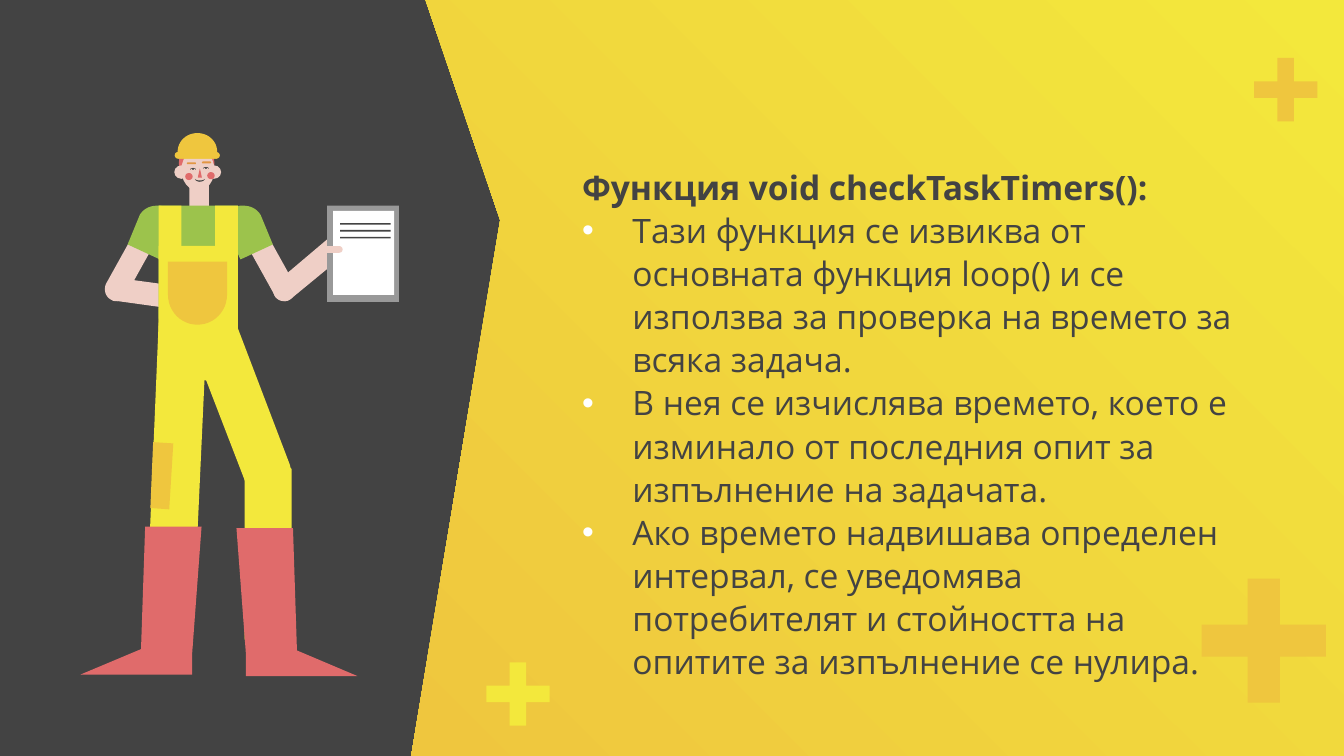
from lxml import etree
from pptx import Presentation
from pptx.dml.color import RGBColor
from pptx.enum import shapes, text
from pptx.oxml import ns
from pptx.util import Pt

COLORS = {
    "dark": "434343", "yellow": "F3E83C", "amber": "EFC63E", "skin": "EFCFC6",
    "green": "9CC34C", "red": "E06B6B", "brow": "E29643", "gray": "999999",
    "white": "FFFFFF",
}
KIND = shapes.MSO_SHAPE

presentation = Presentation()
presentation.slide_width, presentation.slide_height = Pt(720), Pt(405)
slide = presentation.slides.add_slide(presentation.slide_layouts[0])
title = slide.shapes.title
title._element.getparent().remove(title._element)
slide.background.fill.solid()
slide.background.fill.fore_color.rgb = RGBColor.from_string(COLORS["dark"])


def preset(kind, color, left, top, width, height):
    shape = slide.shapes.add_shape(kind, Pt(left), Pt(top), Pt(width), Pt(height))
    shape.shadow.inherit = False
    shape.fill.solid()
    shape.fill.fore_color.rgb = RGBColor.from_string(COLORS[color])
    shape.line.fill.background()
    return shape


def outline(color, points, mirror=None):
    """Closed outline: pairs are corners, six numbers are a Bezier curve."""
    if mirror:
        points = [tuple(mirror - v if i % 2 == 0 else v for i, v in enumerate(p))
                  for p in points]
    vertices = [points[0]]
    for point in points[1:]:
        if len(point) == 2:
            vertices.append(point)
            continue
        x0, y0 = vertices[-1]
        x1, y1, x2, y2, x3, y3 = point
        for step in range(1, 13):
            t = step / 12
            a, b, c, d = (1 - t) ** 3, 3 * t * (1 - t) ** 2, 3 * t * t * (1 - t), t ** 3
            vertices.append((a * x0 + b * x1 + c * x2 + d * x3,
                             a * y0 + b * y1 + c * y2 + d * y3))
    vertices = [(Pt(x), Pt(y)) for x, y in vertices]
    builder = slide.shapes.build_freeform(*vertices[0])
    builder.add_line_segments(vertices[1:], close=True)
    shape = builder.convert_to_shape()
    shape.shadow.inherit = False
    shape.fill.solid()
    shape.fill.fore_color.rgb = RGBColor.from_string(COLORS[color])
    shape.line.fill.background()
    return shape


# Gradient panel
panel = outline("yellow", [(720, 405), (720, 0), (228, 0), (268, 118), (220.3, 405)])
panel.fill.gradient()
panel.fill.gradient_angle = 225
for stop, color in zip(panel.fill.gradient_stops, ("yellow", "amber")):
    stop.color.rgb = RGBColor.from_string(COLORS[color])

# Decorative crosses
for color, left, top, size in (("yellow", 260.5, 354.8, 34), ("amber", 671.8, 31, 34),
                               ("amber", 643.8, 310, 66.5)):
    preset(KIND.CROSS, color, left, top, size, size).adjustments[0] = 0.37

# Text, stacked above the panel and crosses
body = slide.placeholders[1]
slide.shapes._spTree.append(body._element)
body.left, body.top, body.width, body.height = Pt(304.6), Pt(123.1), Pt(365.8), Pt(206.6)
frame = body.text_frame
frame.word_wrap = True
frame.auto_size = text.MSO_AUTO_SIZE.NONE
frame.vertical_anchor = text.MSO_ANCHOR.MIDDLE
frame.margin_left = frame.margin_right = frame.margin_top = frame.margin_bottom = Pt(7.2)
lines = [
    "Функция void checkTaskTimers():",
    "Тази функция се извиква от основната функция loop() и се използва за проверка "
    "на времето за всяка задача.",
    "В нея се изчислява времето, което е изминало от последния опит за изпълнение "
    "на задачата.",
    "Ако времето надвишава определен интервал, се уведомява потребителят и "
    "стойността на опитите за изпълнение се нулира.",
]
for index, line in enumerate(lines):
    paragraph = frame.add_paragraph() if index else frame.paragraphs[0]
    paragraph.alignment = text.PP_ALIGN.LEFT
    paragraph.line_spacing = 1.07
    paragraph.space_before = Pt(0)
    paragraph.space_after = Pt(8 if index == len(lines) - 1 else 0)
    run = paragraph.add_run()
    run.text = line
    run.font.name, run.font.size, run.font.bold = "Open Sans", Pt(18), index == 0
    run.font.color.rgb = RGBColor.from_string(COLORS["dark"])
    properties = paragraph._p.get_or_add_pPr()
    properties.set("marL", str(Pt(27) if index else 0))
    properties.set("indent", str(-Pt(27) if index else 0))
    if index:
        bullet_color = etree.SubElement(properties, ns.qn("a:buClr"))
        etree.SubElement(bullet_color, ns.qn("a:srgbClr"), val=COLORS["white"])
        etree.SubElement(properties, ns.qn("a:buFont"), typeface="Arial")
        etree.SubElement(properties, ns.qn("a:buChar"), char="•")

# Arms: upper arm and sleeve are mirrored, the forearms differ
upper_arm = [(139.7, 119.5), (128.9, 125.3), (146.9, 157.7),
             (147.6, 159.8, 149.8, 161.3, 151.9, 161.3),
             (153, 161.3, 154.1, 161.3, 154.8, 160.6),
             (158.4, 159.1, 159.1, 154.8, 157.7, 151.9)]
sleeve = [(130.3, 110.2), (128.9, 110.2, 127.4, 110.2, 126.7, 110.9),
          (121.7, 113, 119.5, 118.8, 121.7, 123.8), (128.9, 139), (146.2, 131),
          (139.7, 115.2), (137.5, 111.6, 133.9, 110.2, 130.3, 110.2)]
right_forearm = [(177.1, 126.7), (149, 150.5), (146.2, 152.6, 145.4, 156.2, 147.6, 159.1),
                 (149, 160.6, 151.2, 161.3, 152.6, 161.3),
                 (154.1, 161.3, 155.5, 160.6, 156.2, 159.8), (185, 136.1)]
left_forearm = [(63.4, 149), (59.8, 149, 57.6, 151.2, 56.9, 154.8),
                (56.9, 158.4, 59, 161.3, 62.6, 161.3), (98.6, 166.3), (100.8, 154.1)]
for forearm, mirror in ((right_forearm, None), (left_forearm, 214.6)):
    outline("skin", upper_arm, mirror)
    outline("skin", forearm)
    outline("green", sleeve, mirror)

# Head
preset(KIND.OVAL, "red", 95.8, 76.3, 19.1, 22.3)
preset(KIND.RECTANGLE, "skin", 101.5, 97.2, 10.4, 16.2)
preset(KIND.OVAL, "skin", 97.2, 79.9, 17.7, 22.3)
for ear, eye, eye_top, brow, cheek, cheek_top in ((93.4, 101.8, 90, 100.1, 99.2, 92.7),
                                                  (110.9, 108.7, 89.5, 108.2, 111, 92.2)):
    preset(KIND.OVAL, "skin", ear, 88.6, 7.6, 7.2)
    preset(KIND.BLOCK_ARC, "dark", eye, eye_top, 3.2, 1.8).adjustments[2] = 0.15
    preset(KIND.OVAL, "dark", eye + 1.1, eye_top, 1, 1)
    preset(KIND.ROUNDED_RECTANGLE, "brow", brow, eye_top - 3, 4.9, 1).adjustments[0] = 0.5
    preset(KIND.OVAL, "red", cheek, cheek_top, 4, 3.8)
preset(KIND.ISOSCELES_TRIANGLE, "red", 106, 90.2, 2.2, 4.9)
outline("dark", [(104.4, 95.8), (105, 97.9, 109, 97.9, 109.8, 95.8),
                 (109, 97, 105, 97, 104.4, 95.8)])

# Helmet
outline("amber", [(105.8, 71.3), (100, 71.3, 95.2, 75.6, 95.2, 81.4), (95.2, 85),
                  (116.4, 85), (116.4, 81.4), (116.4, 75.6, 111.6, 71.3, 105.8, 71.3)])
preset(KIND.ROUNDED_RECTANGLE, "amber", 93.6, 81.4, 24.2, 3.6).adjustments[0] = 0.5

# Legs and boots
outline("yellow", [(126, 172.1), (113.8, 177.1), (107.3, 179.3, 103.7, 187.2, 106.6, 193.7),
                   (131, 257), (132.5, 262.1, 137.5, 265.7, 143.3, 265.7),
                   (144.7, 265.7, 146.2, 265, 147.6, 264.2),
                   (154.1, 262.1, 157.7, 254.2, 154.8, 247.7)])
outline("yellow", [(132.5, 241.9), (131, 242.6), (131, 342.7), (156.2, 342.7),
                   (156.2, 251.3), (154.8, 249.8)])
outline("yellow", [(85, 172.8), (77.8, 345.6), (103, 346.3), (110.9, 174.2)])
preset(KIND.RECTANGLE, "yellow", 85, 164.9, 42.5, 38.9)
outline("red", [(77.8, 282.2), (75.6, 347.8), (43.2, 361.4), (103, 361.4),
                (103, 349.9), (108, 282.2)])
outline("red", [(126.7, 283), (131.8, 350.6), (131.8, 362.2), (191.5, 362.2),
                (159.1, 348.5), (157, 283)])

# Shirt, bib, straps, pocket and knee patch
preset(KIND.RECTANGLE, "green", 85, 110.2, 42.5, 60.5)
preset(KIND.RECTANGLE, "yellow", 85, 131.8, 42.5, 46.1)
for left in (85, 115.3):
    preset(KIND.RECTANGLE, "yellow", left, 110.2, 12.2, 28.8)
outline("amber", [(90, 140.2), (90, 157.7), (90, 167, 97.2, 174, 105.8, 174),
                  (114.5, 174, 121.7, 167, 121.7, 157.7), (121.7, 140.2)])
outline("amber", [(82.1, 236.9), (80.6, 272.2), (90.7, 272.9), (92.9, 237.6)])

# Clipboard with a thumb and written lines
preset(KIND.RECTANGLE, "gray", 175.3, 110.2, 38.5, 51.5)
preset(KIND.RECTANGLE, "white", 178.4, 113, 32.8, 45)
preset(KIND.ROUNDED_RECTANGLE, "skin", 173.5, 131.8, 10.1, 3.6).adjustments[0] = 0.5
for row in range(3):
    preset(KIND.RECTANGLE, "dark", 182.2, 119.5 + 3.7 * row, 27, 0.9)

presentation.save("out.pptx")
